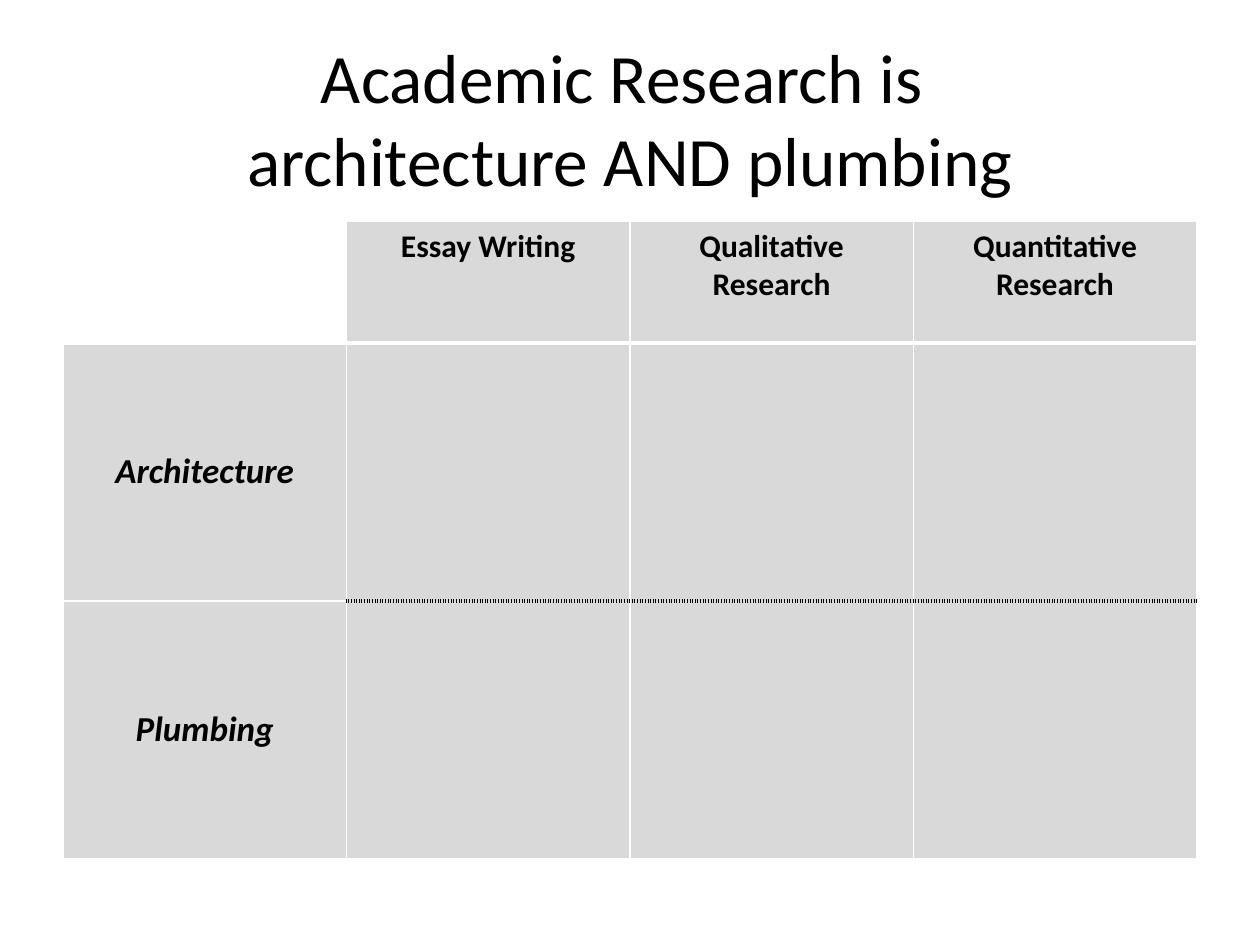
from lxml.etree import SubElement
from pptx import Presentation
from pptx.dml.color import RGBColor
from pptx.enum.text import MSO_ANCHOR as Anchor, PP_ALIGN as Align
from pptx.oxml.ns import qn
from pptx.util import Pt

PIXEL = 914400 // 126
WHITE, GREY, BLACK = "FFFFFF", "D9D9D9", "000000"


def write(frame, text, size, bold=False, italic=False):
    """Put centred black Calibri text into a text frame."""
    frame.text = text
    for paragraph in frame.paragraphs:
        paragraph.alignment = Align.CENTER
        font = paragraph.font
        font.name, font.size = "Calibri", Pt(size)
        font.bold, font.italic = bold, italic
        font.color.rgb = RGBColor.from_string(BLACK)


def add_border(cell, side, color, width, dash="solid"):
    """Draw one side (L, R, T or B) of a table cell."""
    line = SubElement(cell._tc.get_or_add_tcPr(), qn(f"a:ln{side}"), w=str(Pt(width)))
    SubElement(SubElement(line, qn("a:solidFill")), qn("a:srgbClr"), val=color)
    SubElement(line, qn("a:prstDash"), val=dash)


deck = Presentation()
deck.slide_width, deck.slide_height = 1260 * PIXEL, 945 * PIXEL
slide = deck.slides.add_slide(deck.slide_layouts[6])

title = slide.shapes.add_textbox(63 * PIXEL, 38 * PIXEL, 1134 * PIXEL, 158 * PIXEL).text_frame
title.word_wrap = True
title.vertical_anchor = Anchor.MIDDLE
write(title, "Academic Research is \varchitecture AND plumbing", 39.6)

labels = [
    ["", "Essay Writing", "Qualitative Research", "Quantitative Research"],
    ["Architecture", "", "", ""],
    ["Plumbing", "", "", ""],
]
row_heights = [122, 258, 258]
matrix = slide.shapes.add_table(
    len(labels), len(labels[0]), 63 * PIXEL, 221 * PIXEL,
    1134 * PIXEL, sum(row_heights) * PIXEL).table

thin, header_rule, dotted = (WHITE, 1), (WHITE, 3), (BLACK, 2.25, "sysDot")
for r, row in enumerate(labels):
    matrix.rows[r].height = row_heights[r] * PIXEL
    for c, label in enumerate(row):
        cell = matrix.cell(r, c)
        write(cell.text_frame, label, 20 if r else 18, bold=True, italic=r > 0)
        if r:
            cell.vertical_anchor = Anchor.MIDDLE
        row_rules = [thin, header_rule, dotted if c else thin, thin]
        for side, rule in zip("LRTB", [thin, thin, row_rules[r], row_rules[r + 1]]):
            add_border(cell, side, *rule)
        cell.fill.solid()
        cell.fill.fore_color.rgb = RGBColor.from_string(GREY if r or c else WHITE)

deck.save("out.pptx")
